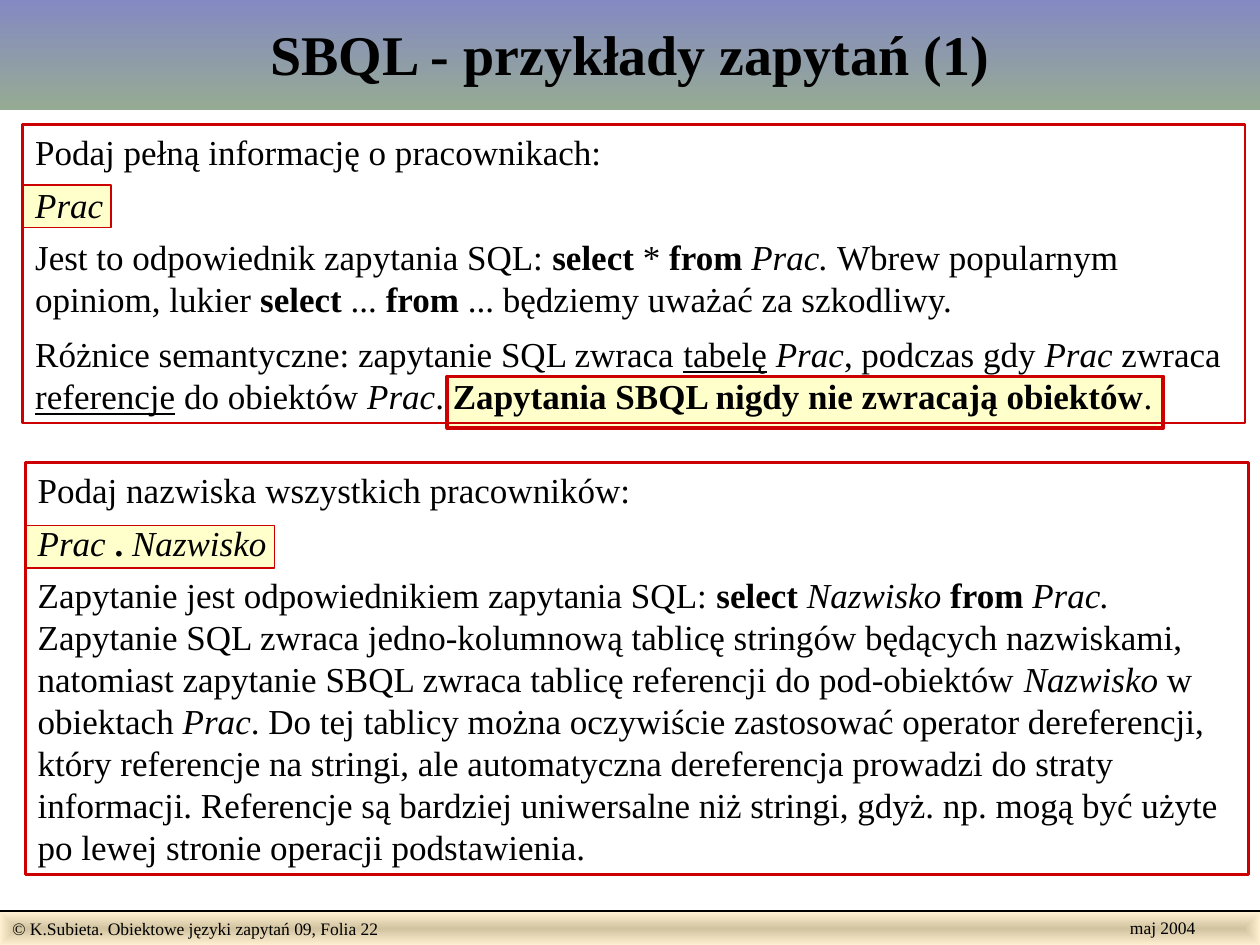
from dataclasses import dataclass

from lxml import etree
from pptx import Presentation
from pptx.dml.color import RGBColor
from pptx.enum.shapes import MSO_CONNECTOR, MSO_SHAPE
from pptx.enum.text import MSO_ANCHOR, MSO_AUTO_SIZE, PP_ALIGN
from pptx.oxml.ns import qn
from pptx.shapes.autoshape import Shape
from pptx.slide import Slide
from pptx.util import Cm, Pt

RECTANGLE = MSO_SHAPE.RECTANGLE
STRAIGHT = MSO_CONNECTOR.STRAIGHT
TOP, MIDDLE = MSO_ANCHOR.TOP, MSO_ANCHOR.MIDDLE
LEFT, CENTER = PP_ALIGN.LEFT, PP_ALIGN.CENTER
GROW = MSO_AUTO_SIZE.SHAPE_TO_FIT_TEXT
FONT = "Times New Roman"
SLIDE_WIDTH, SLIDE_HEIGHT = 25.4, 19.05
FOOTER_TOP = 18.36
COLORS = {
    "text": "000000",
    "border": "CC0000",
    "highlight": "FFFFCC",
    "title_top": "8488C4",
    "title_bottom": "96AB94",
    "footer_center": "D1C39F",
    "footer_edge": "FFEFD1",
}


@dataclass(frozen=True)
class Area:
    left: float
    top: float
    width: float
    height: float


@dataclass(frozen=True)
class Span:
    text: str
    style: str = ""


@dataclass(frozen=True)
class Block:
    spans: tuple[Span, ...]
    before: float = 0
    after: float = 0


@dataclass(frozen=True)
class Highlight:
    area: Area
    border: float


@dataclass(frozen=True)
class Panel:
    area: Area
    blocks: tuple[Block, ...]


HIGHLIGHTS = (
    Highlight(Area(0.51, 10.59, 5.03, 0.86), 0.75),
    Highlight(Area(0.46, 3.73, 1.78, 0.86), 0.75),
    Highlight(Area(9.02, 7.59, 14.43, 1.04), 2.25),
)

PANELS = (
    Panel(Area(0.46, 2.51, 24.64, 6.02), (
        Block((Span("Podaj pełną informację o pracownikach:"),)),
        Block((Span("Prac", "i"),), 6, 6),
        Block((
            Span("Jest to odpowiednik zapytania SQL: "), Span("select", "b"),
            Span(" * "), Span("from ", "b"), Span("Prac. ", "i"),
            Span("Wbrew popularnym opiniom, lukier "), Span("select", "b"),
            Span(" ... "), Span("from", "b"),
            Span(" ... będziemy uważać za szkodliwy."),
        ), after=7.5),
        Block((
            Span("Różnice semantyczne: zapytanie SQL zwraca "),
            Span("tabelę", "u"), Span(" "), Span("Prac", "i"),
            Span(", podczas gdy "), Span("Prac", "i"), Span(" zwraca "),
            Span("referencje", "u"), Span(" do obiektów "),
            Span("Prac", "i"), Span(". "),
            Span("Zapytania SBQL nigdy nie zwracają obiektów", "b"), Span("."),
        ), after=7.5),
    )),
    Panel(Area(0.51, 9.32, 24.66, 8.31), (
        Block((Span("Podaj nazwiska wszystkich pracowników:"),)),
        Block((Span("Prac ", "i"), Span(". ", "b"), Span("Nazwisko", "i")), 6, 6),
        Block((
            Span("Zapytanie jest odpowiednikiem zapytania SQL: "),
            Span("select ", "b"), Span("Nazwisko", "i"),
            Span(" from ", "b"), Span("Prac.", "i"),
        )),
        Block((
            Span("Zapytanie SQL zwraca jedno-kolumnową tablicę stringów będących "
                 "nazwiskami, natomiast zapytanie SBQL zwraca tablicę referencji "
                 "do pod-obiektów "),
            Span("Nazwisko", "i"), Span(" w obiektach "), Span("Prac", "i"),
            Span(". Do tej tablicy można oczywiście zastosować operator "
                 "dereferencji, który referencje na stringi, ale automatyczna "
                 "dereferencja prowadzi do straty informacji. Referencje są "
                 "bardziej uniwersalne niż stringi, gdyż. np. mogą być użyte po "
                 "lewej stronie operacji podstawienia."),
        )),
    )),
)


def color(name: str) -> RGBColor:
    return RGBColor.from_string(COLORS[name])


def add_rectangle(slide: Slide, area: Area, border: float = 0) -> Shape:
    shape = slide.shapes.add_shape(
        RECTANGLE, Cm(area.left), Cm(area.top), Cm(area.width), Cm(area.height))
    shape.shadow.inherit = False
    shape.fill.background()
    if border:
        shape.line.color.rgb = color("border")
        shape.line.width = Pt(border)
    else:
        shape.line.fill.background()
    return shape


def set_gradient(shape: Shape, first: str, last: str) -> None:
    shape.fill.gradient()
    shape.fill.gradient_angle = 270
    for stop, name in zip(shape.fill.gradient_stops, (first, last)):
        stop.color.rgb = color(name)


def center_gradient(shape: Shape) -> None:
    linear = next(shape.element.iter(qn("a:lin")))
    radial = etree.Element(qn("a:path"), path="rect")
    sides = dict.fromkeys("ltrb", "50000")
    etree.SubElement(radial, qn("a:fillToRect"), sides)
    linear.getparent().replace(linear, radial)


def write(shape: Shape, blocks: tuple[Block, ...], size: float,
          alignment: PP_ALIGN = LEFT, anchor: MSO_ANCHOR = TOP) -> None:
    frame = shape.text_frame
    frame.word_wrap = True
    frame.vertical_anchor = anchor
    for index, block in enumerate(blocks):
        paragraph = frame.add_paragraph() if index else frame.paragraphs[0]
        paragraph.alignment = alignment
        paragraph.space_before = Pt(block.before)
        paragraph.space_after = Pt(block.after)
        for span in block.spans:
            run = paragraph.add_run()
            run.text = span.text
            run.font.name = FONT
            run.font.size = Pt(size)
            run.font.color.rgb = color("text")
            run.font.bold = "b" in span.style
            run.font.italic = "i" in span.style
            run.font.underline = "u" in span.style


def add_footer(slide: Slide) -> None:
    bar = add_rectangle(slide, Area(0, 18.39, SLIDE_WIDTH, 0.66))
    set_gradient(bar, "footer_center", "footer_edge")
    center_gradient(bar)
    credit = Span("© K.Subieta. Obiektowe języki zapytań 09, Folia 22")
    write(bar, (Block((credit,)),), 10)
    rule = slide.shapes.add_connector(
        STRAIGHT, 0, Cm(FOOTER_TOP), Cm(SLIDE_WIDTH), Cm(FOOTER_TOP))
    rule.line.color.rgb = color("text")
    rule.line.width = Pt(1)
    etree.SubElement(rule.element.spPr, qn("a:effectLst"))
    date = slide.shapes.add_textbox(Cm(22.53), Cm(FOOTER_TOP), Cm(1.83), Cm(0.69))
    write(date, (Block((Span("maj 2004"),)),), 10)
    date.text_frame.word_wrap = False


def main() -> None:
    """Build the slide with SBQL query examples."""
    presentation = Presentation()
    presentation.slide_width = Cm(SLIDE_WIDTH)
    presentation.slide_height = Cm(SLIDE_HEIGHT)
    slide = presentation.slides.add_slide(presentation.slide_layouts[6])
    add_footer(slide)
    for highlight in HIGHLIGHTS:
        shape = add_rectangle(slide, highlight.area, highlight.border)
        shape.fill.solid()
        shape.fill.fore_color.rgb = color("highlight")
    title = add_rectangle(slide, Area(0, -0.08, SLIDE_WIDTH, 2.29))
    set_gradient(title, "title_top", "title_bottom")
    heading = Span("SBQL - przykłady zapytań (1)", "b")
    write(title, (Block((heading,)),), 32, CENTER, MIDDLE)
    for panel in PANELS:
        shape = add_rectangle(slide, panel.area, 1.5)
        write(shape, panel.blocks, 20)
        shape.text_frame.auto_size = GROW
    presentation.save("out.pptx")


if __name__ == "__main__":
    main()
